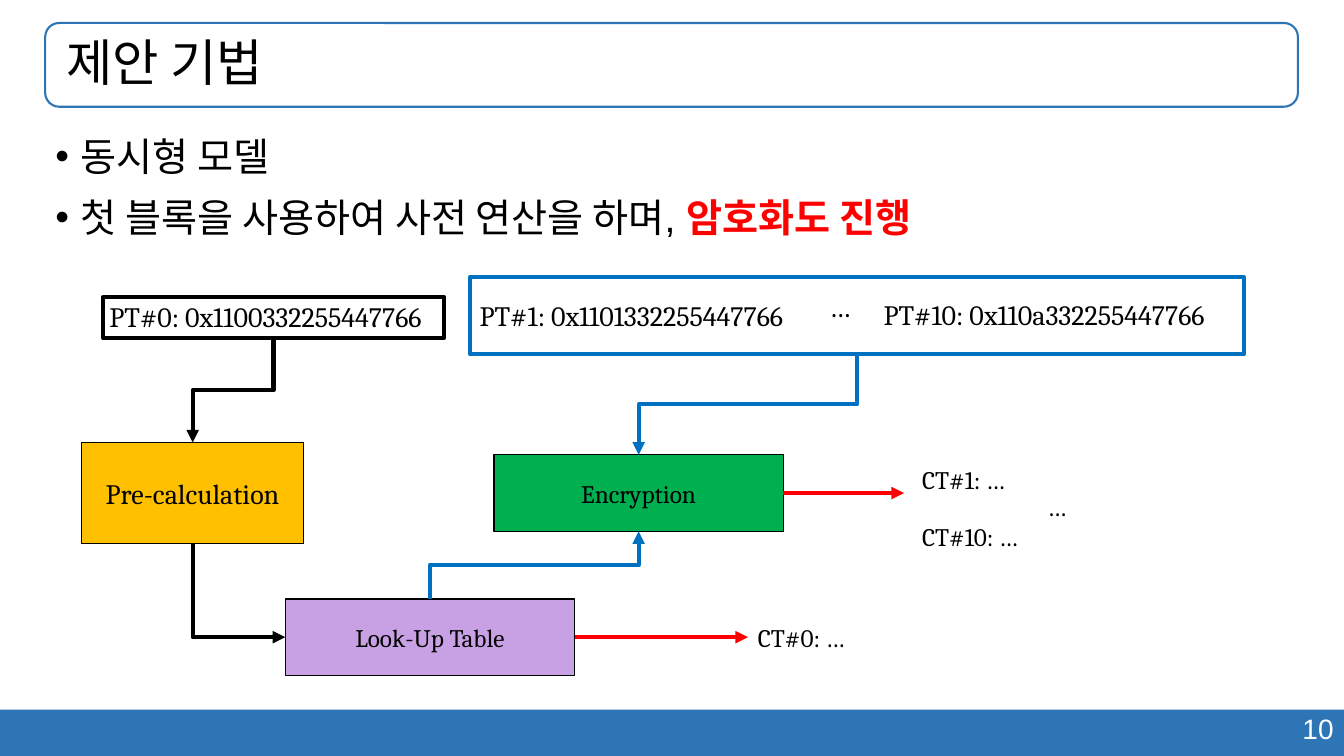
from dataclasses import dataclass

from lxml import etree
from pptx import Presentation
from pptx.dml.color import RGBColor
from pptx.enum.shapes import MSO_CONNECTOR, MSO_SHAPE
from pptx.enum.text import MSO_ANCHOR, MSO_AUTO_SIZE, PP_ALIGN
from pptx.oxml.ns import qn
from pptx.util import Cm, Pt

RECTANGLE, ROUNDED = MSO_SHAPE.RECTANGLE, MSO_SHAPE.ROUNDED_RECTANGLE
STRAIGHT, ELBOW = MSO_CONNECTOR.STRAIGHT, MSO_CONNECTOR.ELBOW
LEFT, CENTER, RIGHT = PP_ALIGN.LEFT, PP_ALIGN.CENTER, PP_ALIGN.RIGHT
TOP, MIDDLE = MSO_ANCHOR.TOP, MSO_ANCHOR.MIDDLE


@dataclass(frozen=True)
class Theme:
    """Colours, fonts and type sizes of the slide."""
    black: str = "000000"
    white: str = "FFFFFF"
    band: str = "2E75B6"
    blue: str = "0070C0"
    red: str = "FF0000"
    amber: str = "FFC000"
    green: str = "00B050"
    violet: str = "C7A1E3"
    heading_font: str = "Arial"
    diagram_font: str = "Cambria"
    title_size: int = 36
    body_size: int = 28
    large: int = 20
    small: int = 18
    thin: float = 1
    medium: float = 1.5
    thick: float = 3


class SlideBuilder:
    """Draws styled elements on one slide."""

    def __init__(self, slide, theme):
        """Keep the slide and its theme."""
        self.slide = slide
        self.theme = theme

    def style(self, paragraph, size, font=None, color=None, align=LEFT):
        """Set the font and alignment of a paragraph."""
        paragraph.alignment = align
        paragraph.font.size = Pt(size)
        paragraph.font.name = font or self.theme.diagram_font
        paragraph.font.color.rgb = RGBColor.from_string(color or self.theme.black)

    def place(self, shape, box):
        """Move a placeholder to a box given in centimetres."""
        shape.left, shape.top, shape.width, shape.height = map(Cm, box)
        shape.text_frame.auto_size = MSO_AUTO_SIZE.NONE

    def title(self, text, box):
        """Fill the title placeholder."""
        shape = self.slide.shapes.title
        self.place(shape, box)
        shape.text_frame.vertical_anchor = MIDDLE
        paragraph = shape.text_frame.paragraphs[0]
        paragraph.text = text
        paragraph.line_spacing = 0.9
        self.style(paragraph, self.theme.title_size, self.theme.heading_font)

    def bullets(self, items, box):
        """Fill the body placeholder with (plain, highlighted) items."""
        shape = self.slide.placeholders[1]
        self.place(shape, box)
        frame = shape.text_frame
        frame.vertical_anchor = TOP
        for index, (plain, highlighted) in enumerate(items):
            paragraph = frame.add_paragraph() if index else frame.paragraphs[0]
            properties = paragraph._p.get_or_add_pPr()
            properties.set("marL", str(Cm(0.64)))
            properties.set("indent", str(-Cm(0.64)))
            etree.SubElement(properties, qn("a:buChar")).set("char", "•")
            paragraph.space_before = Pt(10 if index else 0)
            self.style(paragraph, self.theme.body_size, self.theme.heading_font)
            paragraph.add_run().text = plain
            if highlighted:
                run = paragraph.add_run()
                run.text = highlighted
                run.font.bold = True
                run.font.color.rgb = RGBColor.from_string(self.theme.red)

    def box(self, box, fill=None, line=None, width=1, text="", size=18, kind=RECTANGLE):
        """Add a box with optional fill, outline and centred text."""
        shape = self.slide.shapes.add_shape(kind, *map(Cm, box))
        shape.shadow.inherit = False
        if fill:
            shape.fill.solid()
            shape.fill.fore_color.rgb = RGBColor.from_string(fill)
        else:
            shape.fill.background()
        if line:
            shape.line.color.rgb = RGBColor.from_string(line)
            shape.line.width = Pt(width)
        else:
            shape.line.fill.background()
        if text:
            shape.text_frame.text = text
            shape.text_frame.vertical_anchor = MIDDLE
            self.style(shape.text_frame.paragraphs[0], size, align=CENTER)
        return shape

    def label(self, text, box, size, anchor=TOP, align=LEFT, font=None, color=None):
        """Add a text box with one paragraph."""
        shape = self.slide.shapes.add_textbox(*map(Cm, box))
        shape.text_frame.word_wrap = True
        shape.text_frame.vertical_anchor = anchor
        shape.text_frame.text = text
        self.style(shape.text_frame.paragraphs[0], size, font, color, align)

    def arrow(self, start, end, color, kind=STRAIGHT):
        """Add an arrow between two points."""
        connector = self.slide.shapes.add_connector(kind, *start, *end)
        connector.line.color.rgb = RGBColor.from_string(color)
        connector.line.width = Pt(self.theme.thick)
        head = etree.SubElement(connector.line._get_or_add_ln(), qn("a:tailEnd"))
        head.set("type", "triangle")
        etree.SubElement(connector._element.spPr, qn("a:effectLst"))
        return connector

    def elbow(self, start, end, color, preset="bentConnector3"):
        """Add a bent arrow that leaves its start vertically."""
        middle_x, middle_y = (start[0] + end[0]) // 2, (start[1] + end[1]) // 2
        half_x, half_y = (end[0] - start[0]) // 2, (end[1] - start[1]) // 2
        connector = self.arrow((middle_x - half_y, middle_y + half_x),
                               (middle_x + half_y, middle_y - half_x), color, ELBOW)
        properties = connector._element.spPr
        properties.find(qn("a:xfrm")).set("rot", "5400000")
        properties.find(qn("a:prstGeom")).set("prst", preset)


def edge(shape, across, down):
    """Return the point at the given fractions of a shape's width and height."""
    return (shape.left + int(shape.width * across), shape.top + int(shape.height * down))


def main():
    """Build the slide and save it."""
    presentation = Presentation()
    presentation.slide_width, presentation.slide_height = Cm(33.87), Cm(19.05)
    slide = presentation.slides.add_slide(presentation.slide_layouts[1])
    theme = Theme()
    builder = SlideBuilder(slide, theme)

    title_box = (1.14, 0.58, 31.57, 2.11)
    builder.box((0, 17.88, 33.87, 1.17), fill=theme.band)
    builder.label("10", (23.95, 17.81, 9.91, 1.12), theme.large, align=RIGHT,
                  font=theme.heading_font, color=theme.white)
    builder.box(title_box, line=theme.band, width=theme.medium, kind=ROUNDED)
    builder.title(" 제안 기법", title_box)
    builder.bullets([("동시형 모델", ""),
                     ("첫 블록을 사용하여 사전 연산을 하며, ", "암호화도 진행")],
                    (1.14, 3.2, 31.57, 14.05))

    for text, left, top, width in (("PT#0: 0x1100332255447766", 2.51, 7.42, 9.32),
                                   ("PT#1: 0x1101332255447766", 11.84, 7.39, 9.32),
                                   ("PT#10: 0x110a332255447766", 22.02, 7.37, 9.32),
                                   ("…", 20.65, 7.16, 1.04)):
        builder.label(text, (left, top, width, 1.12), theme.large)

    first_block = builder.box((2.59, 7.49, 8.61, 1.02), line=theme.black, width=theme.thick)
    other_blocks = builder.box((11.84, 6.99, 19.51, 1.93), line=theme.blue, width=theme.thick)
    calculation = builder.box((2.06, 11.15, 5.59, 2.54), theme.amber, theme.black,
                              theme.thin, "Pre-calculation", theme.large)
    table = builder.box((7.19, 15.09, 7.29, 1.93), theme.violet, theme.black,
                        theme.thin, "Look-Up Table", theme.small)
    encryption = builder.box((12.45, 11.46, 7.29, 1.93), theme.green, theme.black,
                             theme.thin, "Encryption", theme.small)

    builder.elbow(edge(first_block, 0.5, 1), edge(calculation, 0.5, 0), theme.black)
    builder.elbow(edge(calculation, 0.5, 1), edge(table, 0, 0.5), theme.black, "bentConnector2")
    builder.elbow(edge(other_blocks, 0.5, 1), edge(encryption, 0.5, 0), theme.blue)
    builder.elbow(edge(table, 0.5, 0), edge(encryption, 0.5, 1), theme.blue)
    for source, tip in ((encryption, 22.78), (table, 18.85)):
        start = edge(source, 1, 0.5)
        builder.arrow(start, (Cm(tip), start[1]), theme.red)

    for text, left, top, align in (("CT#0: …", 18.85, 15.67, LEFT),
                                   ("CT#1: …", 22.99, 11.68, LEFT),
                                   ("…", 22.99, 12.37, CENTER),
                                   ("CT#10: …", 22.99, 13.13, LEFT)):
        builder.label(text, (left, top, 7.29, 0.79), theme.small, MIDDLE, align)

    presentation.save("out.pptx")


if __name__ == "__main__":
    main()
